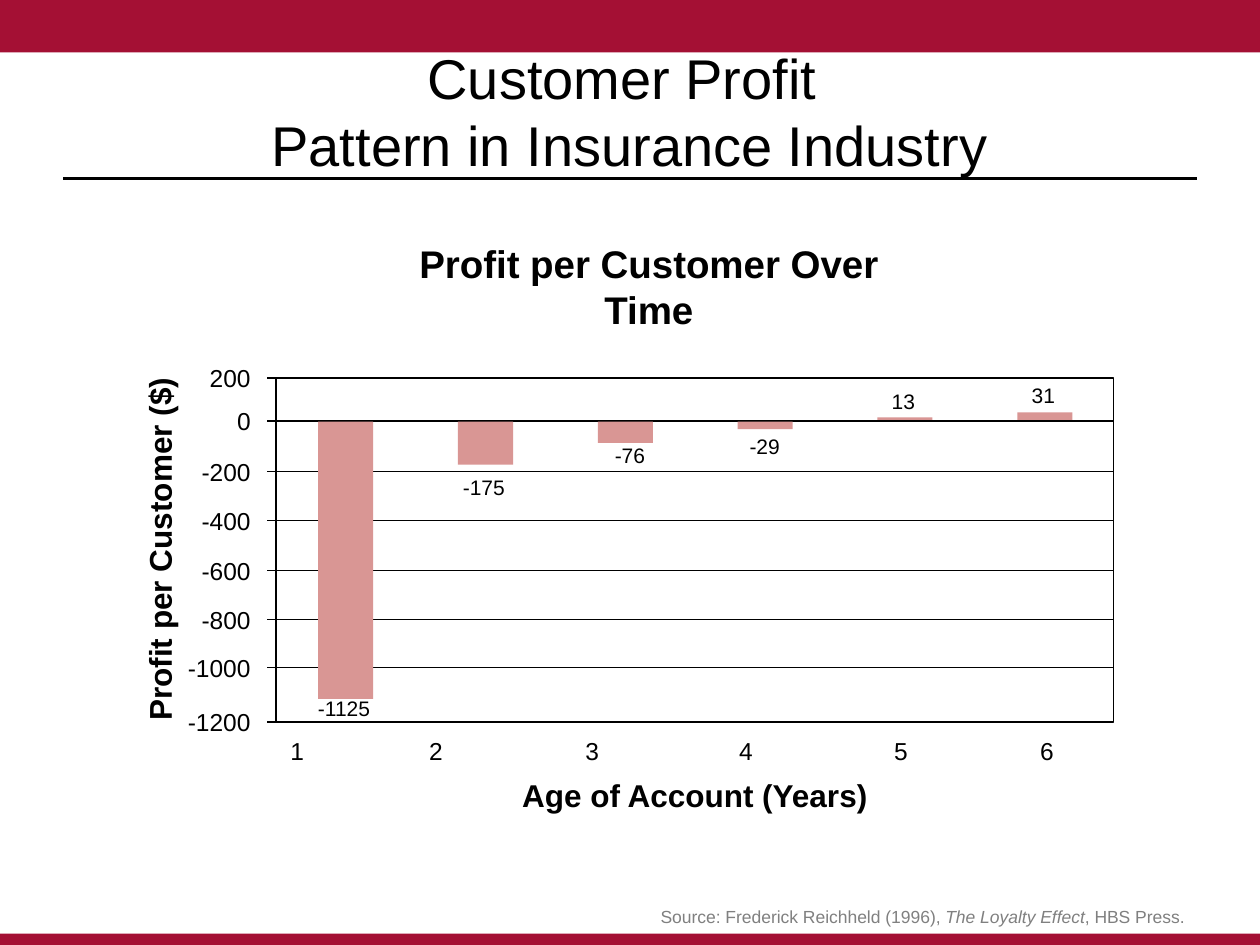
from lxml.etree import SubElement
from pptx import Presentation
from pptx.dml.color import RGBColor
from pptx.enum.shapes import MSO_CONNECTOR as Connector, MSO_SHAPE as Shape
from pptx.enum.text import MSO_ANCHOR as Anchor, PP_ALIGN as Align
from pptx.oxml.ns import qn
from pptx.util import Pt

# Content
TITLE = "Customer Profit \vPattern in Insurance Industry"
SOURCE = [("Source: Frederick Reichheld (1996), ", False),
          ("The Loyalty Effect", True),
          (", HBS Press.", False)]
CHART_TITLE = "Profit per Customer Over Time"
X_TITLE = "Age of Account (Years)"
Y_TITLE = "Profit per Customer ($)"

# Axis value and the height at which it stands
TICKS = [(200, 216), (0, 240.5), (-200, 269.3), (-400, 297.4),
         (-600, 326.2), (-800, 354.2), (-1000, 381.6), (-1200, 412.6)]
# Year, its label centre, profit, bar height, centre of the value label
YEARS = [(1, 169.9, -1125, 158.4, (196.6, 404.6)),
         (2, 249.1, -175, 24.5, (276.5, 278.6)),
         (3, 338.4, -76, 12.2, (360, 259.9)),
         (4, 426.2, -29, 4.3, (437, 254.9)),
         (5, 514.8, 13, 1.5, (516.2, 229)),
         (6, 598.3, 31, 4.3, (596.2, 226))]

# Look
FONT = "Arial"
CRIMSON, ROSE, BLACK, GRAY = "A41034", "D99694", "000000", "808080"
PLOT_LEFT, PLOT_TOP, PLOT_WIDTH, PLOT_HEIGHT = 157.7, 216, 478.8, 196.6
PLOT_RIGHT = PLOT_LEFT + PLOT_WIDTH
TICK_LENGTH = 5
BAR_LEFT, BAR_STEP, BAR_WIDTH = 181.8, 79.9, 31.5
LABEL_WIDTH, LABEL_HEIGHT = 40.3, 17.3
TICK_LABEL_CENTER = 123.1


def color(hex_text):
    return RGBColor.from_string(hex_text)


def set_values(target, values):
    for name, value in values.items():
        setattr(target, name, value)


def format_font(font, size, hex_text=BLACK, **extra):
    set_values(font, {"name": FONT, "size": Pt(size), **extra})
    font.color.rgb = color(hex_text)


def add_box(shapes, left, top, width, height, fill=None, line=None):
    box = shapes.add_shape(Shape.RECTANGLE, Pt(left), Pt(top), Pt(width), Pt(height))
    box.shadow.inherit = False
    if fill:
        box.fill.solid()
        box.fill.fore_color.rgb = color(fill)
    else:
        box.fill.background()
    if line:
        box.line.color.rgb = color(line)
        box.line.width = Pt(0.75)
    else:
        box.line.fill.background()


def add_rule(shapes, start, end, y, width=0.75):
    rule = shapes.add_connector(Connector.STRAIGHT, Pt(start), Pt(y), Pt(end), Pt(y))
    rule.line.color.rgb = color(BLACK)
    rule.line.width = Pt(width)
    SubElement(rule._element.spPr, qn("a:effectLst"))


def add_label(shapes, text, center, size, width=LABEL_WIDTH, height=LABEL_HEIGHT,
              align=Align.CENTER, rotation=0, bold=False):
    x, y = center
    label = shapes.add_textbox(Pt(x - width / 2), Pt(y - height / 2), Pt(width), Pt(height))
    label.rotation = rotation
    frame = label.text_frame
    set_values(frame, {"margin_left": 0, "margin_right": 0, "margin_top": 0,
                       "margin_bottom": 0, "word_wrap": False,
                       "vertical_anchor": Anchor.MIDDLE})
    paragraph = frame.paragraphs[0]
    paragraph.text = str(text)
    paragraph.alignment = align
    format_font(paragraph.runs[0].font, size, bold=bold)


presentation = Presentation()
set_values(presentation, {"slide_width": Pt(720), "slide_height": Pt(540)})
slide = presentation.slides.add_slide(presentation.slide_layouts[5])

# Bands and title rule
add_box(slide.shapes, 0, 0, 720, 30, fill=CRIMSON)
add_box(slide.shapes, 0, 533.5, 720, 6.5, fill=CRIMSON)
add_rule(slide.shapes, 36, 684, 102, width=1.25)

# Title
title = slide.shapes.title
set_values(title, {"left": Pt(36), "top": Pt(18), "width": Pt(648), "height": Pt(90)})
title.text_frame.text = TITLE
title.text_frame.vertical_anchor = Anchor.MIDDLE
paragraph = title.text_frame.paragraphs[0]
set_values(paragraph, {"alignment": Align.CENTER, "line_spacing": Pt(38.4)})
for run in paragraph.runs:
    format_font(run.font, 32)

# Source line
source = slide.shapes.add_textbox(Pt(36), Pt(512), Pt(648), Pt(21.5))
set_values(source.text_frame, {"word_wrap": True, "vertical_anchor": Anchor.BOTTOM})
paragraph = source.text_frame.paragraphs[0]
paragraph.alignment = Align.RIGHT
for text, italic in SOURCE:
    run = paragraph.add_run()
    run.text = text
    format_font(run.font, 10, GRAY, italic=italic)

# Plot frame, grid lines and value axis
chart = slide.shapes.add_group_shape().shapes
add_box(chart, PLOT_LEFT, PLOT_TOP, PLOT_WIDTH, PLOT_HEIGHT, line=BLACK)
for value, y in TICKS:
    if y not in (TICKS[0][1], TICKS[-1][1]):
        add_rule(chart, PLOT_LEFT, PLOT_RIGHT, y)
    add_rule(chart, PLOT_LEFT - TICK_LENGTH, PLOT_LEFT, y)
    add_label(chart, value, (TICK_LABEL_CENTER, y), 14, align=Align.RIGHT)

# Bars with their values and years
zero = dict(TICKS)[0]
for index, (year, year_x, profit, height, label_center) in enumerate(YEARS):
    top = zero + 0.5 if profit < 0 else zero - 0.5 - height
    add_box(chart, BAR_LEFT + index * BAR_STEP, top, BAR_WIDTH, height, fill=ROSE)
    add_label(chart, profit, label_center, 12)
    add_label(chart, year, (year_x, 429.1), 14)

# Chart and axis titles
add_label(chart, CHART_TITLE, (370.8, 163.4), 22, 283.7, 24.5, bold=True)
add_label(chart, X_TITLE, (397.1, 454.3), 18, 218.2, 24.5, bold=True)
add_label(chart, Y_TITLE, (91.1, 313.9), 18, 218.2, 24.5, rotation=270, bold=True)

presentation.save("out.pptx")
